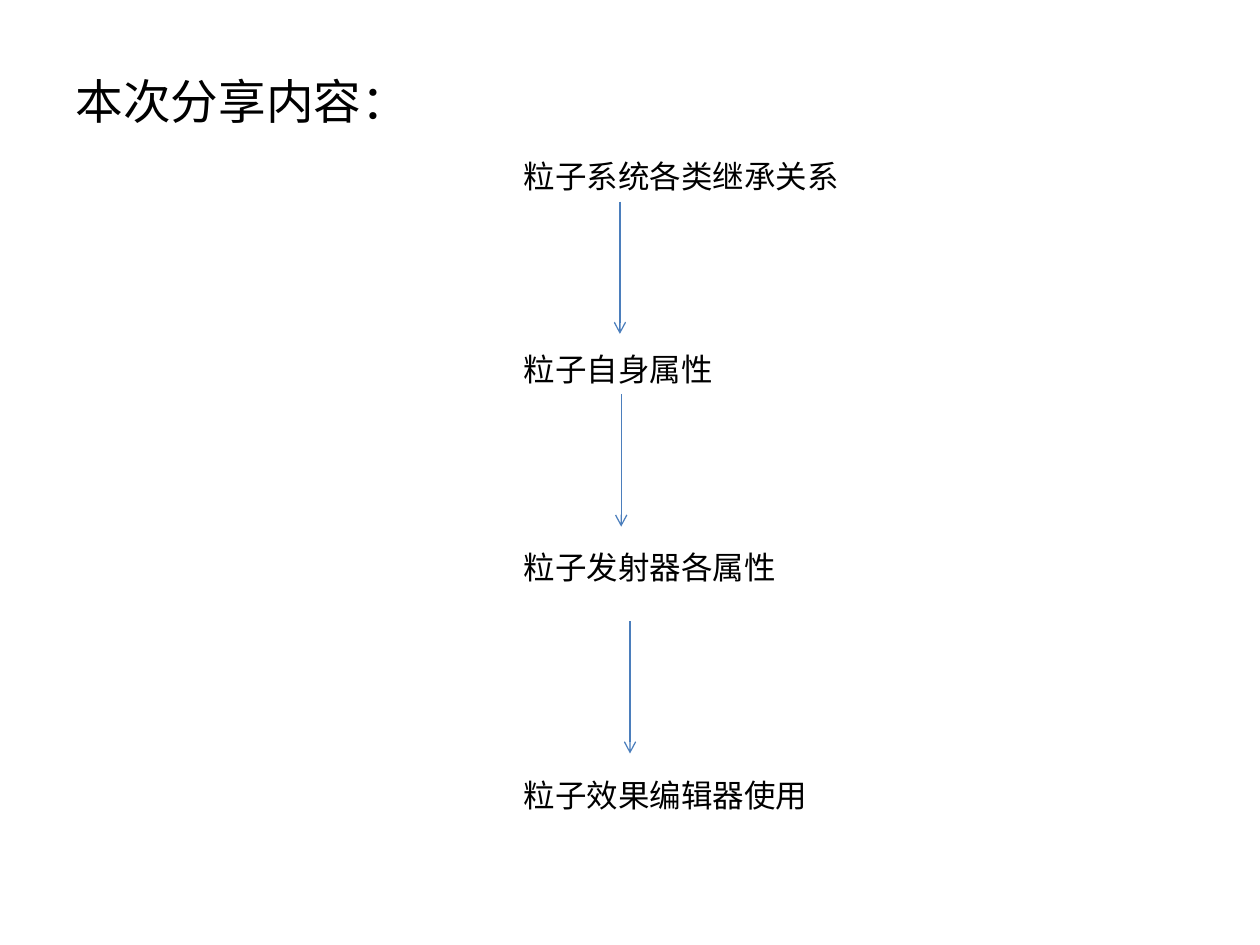
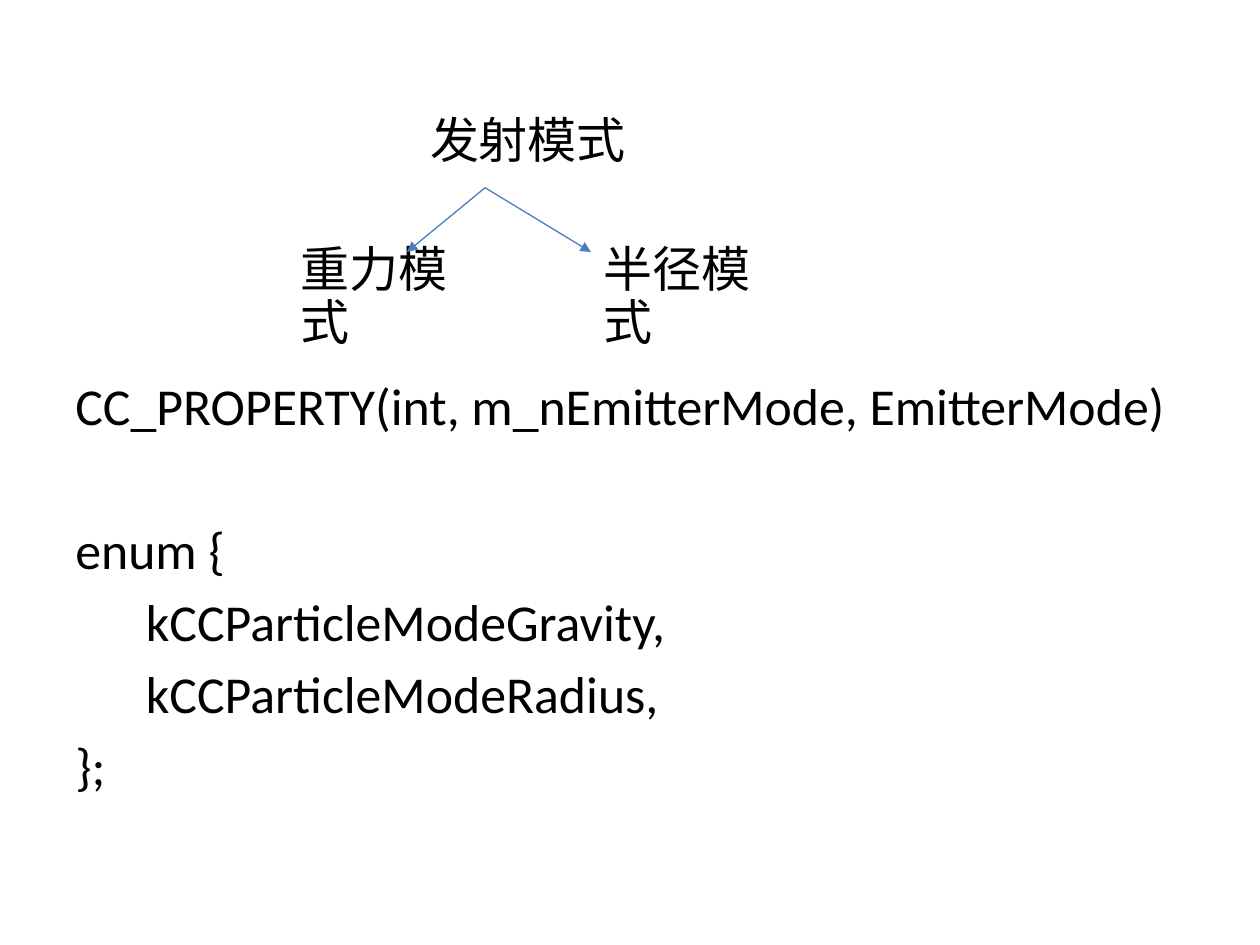
from dataclasses import dataclass

from lxml import etree
from pptx import Presentation
from pptx.dml.color import RGBColor
from pptx.enum.shapes import MSO_CONNECTOR
from pptx.enum.text import MSO_ANCHOR, PP_ALIGN
from pptx.oxml.ns import qn
from pptx.slide import Slide
from pptx.util import Inches, Pt

BLACK = RGBColor(0x00, 0x00, 0x00)
BLUE = RGBColor(0x4B, 0x7E, 0xBC)
FONT = "Calibri"
LEFT, CENTER = PP_ALIGN.LEFT, PP_ALIGN.CENTER
TOP, MIDDLE = MSO_ANCHOR.TOP, MSO_ANCHOR.MIDDLE
STRAIGHT = MSO_CONNECTOR.STRAIGHT


@dataclass
class Line:
    """One paragraph; gap in points above it, indent in inches."""
    text: str
    gap: float = 0
    indent: float = 0


@dataclass
class Label:
    """A text box, placed in inches."""
    lines: list[Line]
    left: float
    top: float
    width: float
    height: float
    size: float
    align: PP_ALIGN = LEFT
    anchor: MSO_ANCHOR = TOP
    pitch: float = 1.0


@dataclass
class Arrow:
    """A straight arrow from one point to another, in inches."""
    start: tuple[float, float]
    end: tuple[float, float]
    head: str


def draw_label(slide: Slide, label: Label) -> None:
    """Add a text box with its lines."""
    box = slide.shapes.add_textbox(Inches(label.left), Inches(label.top),
                                   Inches(label.width), Inches(label.height))
    frame = box.text_frame
    frame.word_wrap = True
    frame.vertical_anchor = label.anchor
    for index, line in enumerate(label.lines):
        para = frame.add_paragraph() if index else frame.paragraphs[0]
        para.alignment = label.align
        para.line_spacing = label.pitch
        para.space_before = Pt(line.gap)
        if line.indent:
            para._p.get_or_add_pPr().set("marL", str(Inches(line.indent)))
        run = para.add_run()
        run.text = line.text
        run.font.name = FONT
        run.font.size = Pt(label.size)
        run.font.color.rgb = BLACK


def draw_arrow(slide: Slide, arrow: Arrow) -> None:
    """Add a thin blue arrow without a shadow."""
    points = [Inches(v) for v in (*arrow.start, *arrow.end)]
    link = slide.shapes.add_connector(STRAIGHT, *points)
    link.line.color.rgb = BLUE
    link.line.width = Pt(0.75)
    tip = etree.SubElement(link.line._get_or_add_ln(), qn("a:tailEnd"))
    tip.set("type", arrow.head)
    etree.SubElement(link._element.spPr, qn("a:effectLst"))


def build_topics(slide: Slide) -> None:
    """Draw the talk's topics as a chain of steps."""
    draw_label(slide, Label([Line("本次分享内容：")], 0.5, 0.52, 2.85, 0.47, 27.2))
    steps = [("粒子系统各类继承关系", 1.2), ("粒子自身属性", 2.73),
             ("粒子发射器各属性", 4.3), ("粒子效果编辑器使用", 6.11)]
    for text, top in steps:
        draw_label(slide, Label([Line(text)], 4.06, top, 2.83, 0.4, 18))
    for x, y in [(4.92, 1.6), (4.93, 3.13), (5, 4.93)]:
        draw_arrow(slide, Arrow((x, y), (x, y + 1.05), "arrow"))


def build_modes(slide: Slide) -> None:
    """Draw the two emitter modes and the code that declares them."""
    draw_label(slide, Label([Line("发射模式")], 3.14, 0.38, 2.1, 1.45, 28,
                            CENTER, MIDDLE))
    code = [Line("CC_PROPERTY(int, m_nEmitterMode, EmitterMode)"),
            Line("enum {", 46.5),
            Line("kCCParticleModeGravity,", 5.6, 0.56),
            Line("kCCParticleModeRadius,", 5.6, 0.56),
            Line("};", 5.6)]
    draw_label(slide, Label(code, 0.5, 2.92, 9, 3.78, 29.6))
    for text, left, tip in [("重力模式", 2.29, 3.23), ("半径模式", 4.69, 4.69)]:
        draw_label(slide, Label([Line(text)], left, 1.64, 1.42, 1.45, 28,
                                LEFT, MIDDLE, 0.9))
        draw_arrow(slide, Arrow((3.85, 1.49), (tip, 2), "triangle"))


def main() -> None:
    """Build and save the slides."""
    deck = Presentation()
    deck.slide_width, deck.slide_height = Inches(10), Inches(7.5)
    blank = deck.slide_layouts[6]
    for build in (build_topics, build_modes):
        build(deck.slides.add_slide(blank))
    deck.save("out.pptx")


main()
